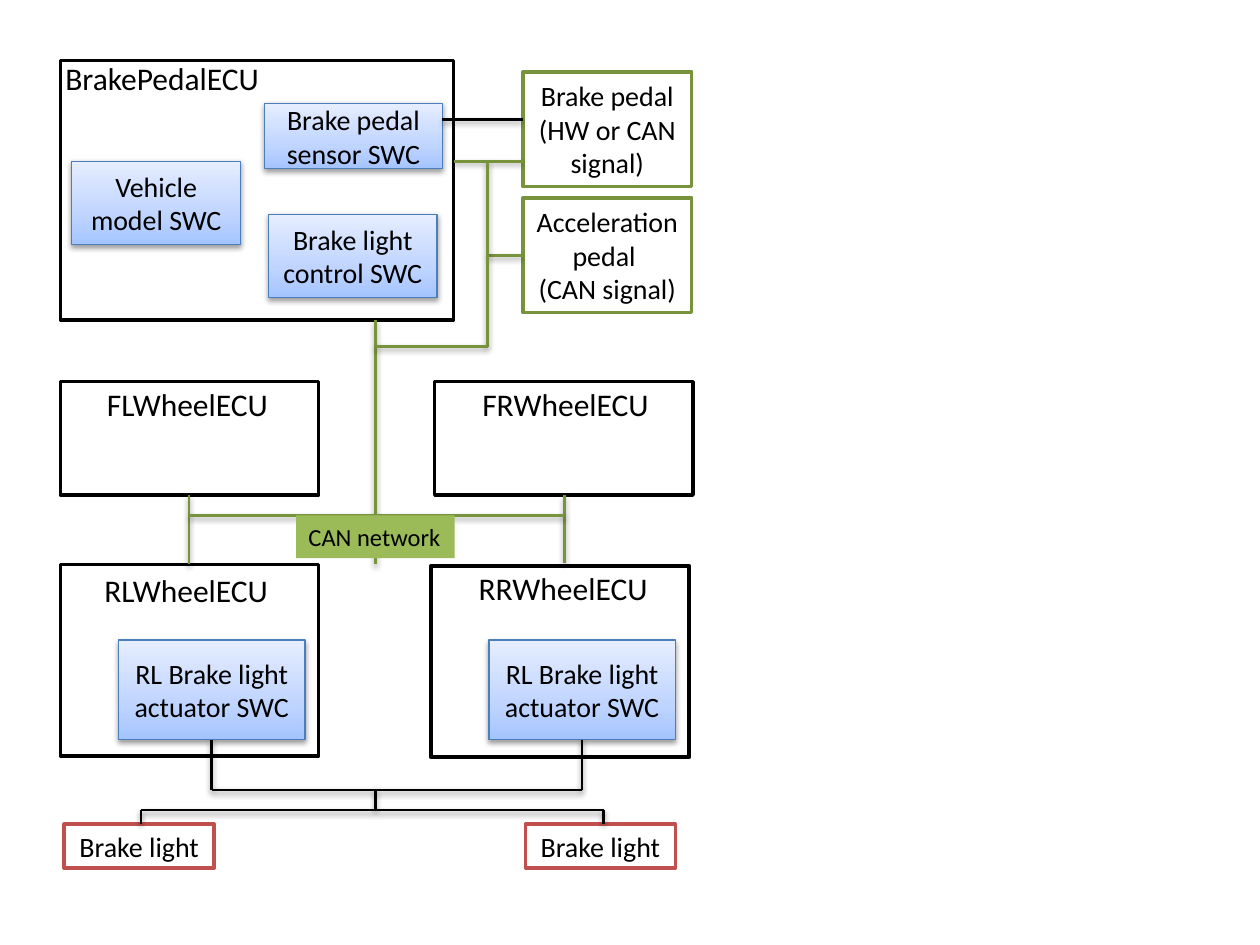
import copy
import pptx
import pptx.util
import pptx.dml.color
import pptx.enum.shapes
import pptx.enum.text
import pptx.oxml
import pptx.oxml.ns
from dataclasses import dataclass


@dataclass(frozen=True)
class Theme:
    """Colours, type sizes and line widths."""
    font: str = "Calibri"
    black: str = "000000"
    white: str = "FFFFFF"
    can: str = "77933C"
    can_fill: str = "9BBB59"
    light: str = "C0504D"
    swc_line: str = "4B7EBC"
    swc_stops: tuple = ((0, "A4C4FF"), (0.35, "BFD4FF"), (1, "E6EEFF"))
    title: int = 18
    body: int = 16
    small: int = 14
    frame: float = 2
    wire: float = 1.5
    thin: float = 0.75


def rgb(colour):
    """Turn a hex string into a colour."""
    return pptx.dml.color.RGBColor.from_string(colour)


class Diagram:
    """Draws elements on a slide with a grid of 100 columns and 75 rows."""

    def __init__(self, prs, theme):
        """Add a blank slide and measure its grid."""
        self.theme = theme
        self.slide = prs.slides.add_slide(prs.slide_layouts[6])
        self.col = prs.slide_width / 100
        self.row = prs.slide_height / 75

    def place(self, x, y, w, h):
        """Convert columns and rows to slide lengths."""
        return [round(n * u) for n, u in zip((x, y, w, h), (self.col, self.row) * 2)]

    def shadow(self, sp):
        """Give an element a soft shadow below it."""
        sp._element.spPr.append(pptx.oxml.parse_xml(
            f'<a:effectLst {pptx.oxml.ns.nsdecls("a")}>'
            '<a:outerShdw blurRad="40000" dist="20000" dir="5400000" rotWithShape="0">'
            '<a:srgbClr val="000000"><a:alpha val="38000"/></a:srgbClr>'
            '</a:outerShdw></a:effectLst>'))

    def set_text(self, sp, text, size, align=None):
        """Set the text of a shape and format its runs."""
        tf = sp.text_frame
        tf.text = text
        for p in tf.paragraphs:
            p.alignment = align or pptx.enum.text.PP_ALIGN.LEFT
            for r in p.runs:
                r.font.name = self.theme.font
                r.font.size = pptx.util.Pt(size)
                r.font.color.rgb = rgb(self.theme.black)

    def box(self, at, line, text="", fill=None, width=None):
        """Draw a rectangle with centred text."""
        sp = self.slide.shapes.add_shape(
            pptx.enum.shapes.MSO_SHAPE.RECTANGLE, *self.place(*at))
        sp.fill.solid()
        sp.fill.fore_color.rgb = rgb(fill or self.theme.white)
        sp.line.color.rgb = rgb(line)
        sp.line.width = pptx.util.Pt(width or self.theme.frame)
        sp.text_frame.vertical_anchor = pptx.enum.text.MSO_ANCHOR.MIDDLE
        if text:
            self.set_text(sp, text, self.theme.body, pptx.enum.text.PP_ALIGN.CENTER)
        sp.shadow.inherit = False
        return sp

    def swc(self, at, text):
        """Draw a software component: a shaded box with a shadow."""
        sp = self.box(at, self.theme.swc_line, text, width=self.theme.thin)
        sp.fill.gradient()
        sp.fill.gradient_angle = 90
        stops = sp._element.spPr.find(".//" + pptx.oxml.ns.qn("a:gsLst"))
        stops.insert(1, copy.deepcopy(stops[0]))
        for stop, (position, colour) in zip(sp.fill.gradient_stops, self.theme.swc_stops):
            stop.position = position
            stop.color.rgb = rgb(colour)
        spPr = sp._element.spPr
        spPr.remove(spPr.find(pptx.oxml.ns.qn("a:effectLst")))
        self.shadow(sp)

    def label(self, at, text, size, fill=None):
        """Place one line of text, on a fill if one is given."""
        sp = self.slide.shapes.add_textbox(*self.place(*at))
        self.set_text(sp, text, size)
        sp.text_frame.word_wrap = bool(fill)
        if fill:
            sp.fill.solid()
            sp.fill.fore_color.rgb = rgb(fill)

    def wire(self, colour, x1, y1, x2, y2):
        """Draw a straight wire with a shadow."""
        ends = self.place(x1, y1, x2, y2)
        sp = self.slide.shapes.add_connector(
            pptx.enum.shapes.MSO_CONNECTOR.STRAIGHT, *ends)
        sp.line.color.rgb = rgb(colour)
        sp.line.width = pptx.util.Pt(self.theme.wire)
        self.shadow(sp)


prs = pptx.Presentation()
prs.slide_width = pptx.util.Inches(10)
prs.slide_height = pptx.util.Inches(7.5)
t = Theme()
d = Diagram(prs, t)

ecus = [
    ("BrakePedalECU", (4.8, 4.8, 31.2, 20.6), (4.2, 4.2, 17.8, 4)),
    ("FLWheelECU", (4.8, 30.3, 20.5, 9), (7.5, 30.1, 15.1, 4)),
    ("RLWheelECU", (4.8, 44.8, 20.5, 15.2), (7.3, 44.8, 15.3, 4)),
    ("FRWheelECU", (34.5, 30.3, 20.5, 9), (37.3, 30.1, 15.4, 4)),
    ("RRWheelECU", (34.2, 44.9, 20.5, 15.2), (37, 44.7, 15.6, 4)),
]
for name, frame, title in ecus:
    d.box(frame, t.black)
    d.label(title, name, t.title)

d.swc((21, 8.2, 14.1, 5.2), "Brake pedal sensor SWC")
d.swc((5.7, 12.8, 13.4, 6.6), "Vehicle model SWC")
d.swc((21.3, 17, 13.4, 6.6), "Brake light control SWC")
for x in (9.4, 38.8):
    d.swc((x, 50.8, 14.8, 7.9), "RL Brake light actuator SWC")

pedals = ["Brake pedal (HW or CAN signal)", "Acceleration\vpedal \n(CAN signal)"]
for i, text in enumerate(pedals):
    d.box((41.5, 5.7 + 10 * i, 13.4, 9.1), t.can, text)

trunk, branch, left, right, bus = 29.8, 38.7, 15, 44.8, 40.9
d.wire(t.black, 35.1, 9.5, 41.5, 9.5)
can_wires = [
    (36, 12.8, 41.5, 12.8),
    (branch, 20.3, 41.5, 20.3),
    (branch, 12.8, branch, 27.5),
    (trunk, 25.4, trunk, 44.8),
    (branch, 27.5, trunk, 27.5),
    (left, 39.3, left, 44.8),
    (right, 39.3, right, 44.7),
    (right, bus, left, bus),
]
for ends in can_wires:
    d.wire(t.can, *ends)
d.label((23.5, bus, 12.6, 3.4), "CAN network", t.small, t.can_fill)

upper, lower = 62.7, 64.3
actuators, lights = (16.8, 46.2), (11.2, 47.9)
for x in actuators:
    d.wire(t.black, x, 58.7, x, upper)
d.wire(t.black, actuators[1], upper, actuators[0], upper)
d.wire(t.black, lights[1], lower, lights[0], lower)
d.wire(t.black, trunk, upper, trunk, lower)
for x, box_left in zip(lights, (5.1, 41.7)):
    d.box((box_left, 65.4, 11.9, 3.5), t.light, "Brake light")
    d.wire(t.black, x, lower, x, 65.4)

prs.save("out.pptx")
